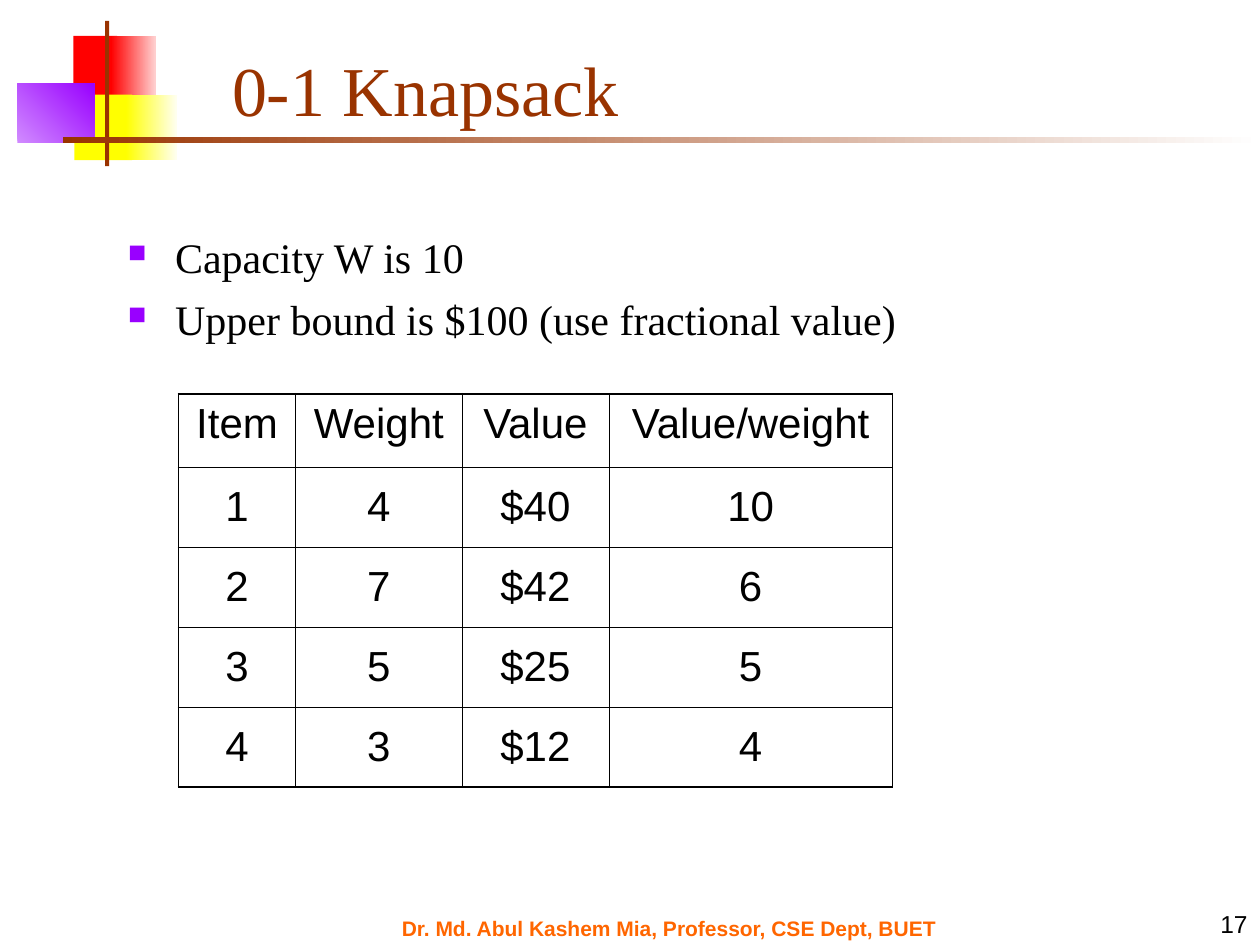
import pptx
import pptx.dml.color
import pptx.enum.shapes
import pptx.enum.text
import pptx.oxml
import pptx.oxml.ns
import pptx.util

Pt = pptx.util.Pt
RGBColor = pptx.dml.color.RGBColor
ALIGN = pptx.enum.text.PP_ALIGN
ANCHOR = pptx.enum.text.MSO_ANCHOR

BLACK = RGBColor(0, 0, 0)
RED = RGBColor(0xFF, 0, 0)
PINK = RGBColor(0xFF, 0xD1, 0xD1)
YELLOW = RGBColor(0xFF, 0xFF, 0)
CREAM = RGBColor(0xFF, 0xFF, 0xF0)
LILAC = RGBColor(0xD1, 0x8B, 0xFF)
PURPLE = RGBColor(0x99, 0, 0xFF)
BROWN = RGBColor(0x99, 0x33, 0)
WHITE = RGBColor(0xFF, 0xFF, 0xFF)
ORANGE = RGBColor(0xFF, 0x66, 0)

SERIF = "Times New Roman"
SANS = "Arial"

ORNAMENT = [
    ((42, 20.5, 25, 37.5), (RED,), 0),
    ((63.5, 20.5, 25.5, 37.5), (RED, PINK), 0),
    ((42.5, 54, 33, 37.5), (YELLOW,), 0),
    ((72, 54, 29, 37.5), (YELLOW, CREAM), 0),
    ((10, 48, 44, 33.5), (LILAC, PURPLE), 45),
    ((60, 12, 2.4, 83), (BROWN,), 0),
    ((36, 78, 684, 3.6), (BROWN, WHITE), 0),
]
BULLETS = ["Capacity W is 10", "Upper bound is $100 (use fractional value)"]
ITEMS = [
    ("Item", "Weight", "Value", "Value/weight"),
    ("1", "4", "$40", "10"),
    ("2", "7", "$42", "6"),
    ("3", "5", "$25", "5"),
    ("4", "3", "$12", "4"),
]
COLUMN_WIDTHS = [67, 95, 84, 162]
HEADER_HEIGHT = 42
ITEM_HEIGHT = 45.7


def add_block(slide, bounds, colors, angle):
    block = slide.shapes.add_shape(
        pptx.enum.shapes.MSO_SHAPE.RECTANGLE, *map(Pt, bounds))
    block.shadow.inherit = False
    block.line.fill.background()
    if len(colors) == 1:
        block.fill.solid()
        block.fill.fore_color.rgb = colors[0]
        return
    block.fill.gradient()
    block.fill.gradient_angle = angle
    for stop, color in zip(block.fill.gradient_stops, colors):
        stop.color.rgb = color


def style_paragraph(paragraph, font, size, color, align=ALIGN.LEFT, bold=False):
    paragraph.alignment = align
    for run in paragraph.runs:
        run.font.name = font
        run.font.size = Pt(size)
        run.font.color.rgb = color
        run.font.bold = bold


def add_text(slide, bounds, text, font, size, color, align=ALIGN.LEFT,
             anchor=ANCHOR.TOP, bold=False):
    frame = slide.shapes.add_textbox(*map(Pt, bounds)).text_frame
    frame.word_wrap = True
    frame.vertical_anchor = anchor
    frame.text = text
    for paragraph in frame.paragraphs:
        style_paragraph(paragraph, font, size, color, align, bold)
    return frame


def add_bullet(paragraph):
    properties = paragraph._p.get_or_add_pPr()
    properties.set("marL", str(Pt(27)))
    properties.set("indent", str(-Pt(27)))
    namespace = pptx.oxml.ns.nsdecls("a")
    for element in (
        f'<a:buClr {namespace}><a:srgbClr val="{PURPLE}"/></a:buClr>',
        f'<a:buSzPct {namespace} val="60000"/>',
        f'<a:buChar {namespace} char="■"/>',
    ):
        properties.append(pptx.oxml.parse_xml(element))


def add_bullets(slide, bounds, lines):
    frame = add_text(slide, bounds, "\n".join(lines), SERIF, 24, BLACK)
    frame.margin_top = Pt(6)
    for index, paragraph in enumerate(frame.paragraphs):
        if index:
            paragraph.space_before = Pt(7)
        add_bullet(paragraph)


def set_border(cell, side, width):
    namespace = pptx.oxml.ns.nsdecls("a")
    cell._tc.get_or_add_tcPr().append(pptx.oxml.parse_xml(
        f'<a:{side} {namespace} w="{Pt(width)}"><a:solidFill>'
        f'<a:srgbClr val="{BLACK}"/></a:solidFill></a:{side}>'))


def add_item_table(slide, left, top):
    last_row, last_column = len(ITEMS) - 1, len(COLUMN_WIDTHS) - 1
    heights = [HEADER_HEIGHT] + [ITEM_HEIGHT] * last_row
    table = slide.shapes.add_table(
        len(ITEMS), len(COLUMN_WIDTHS), Pt(left), Pt(top),
        Pt(sum(COLUMN_WIDTHS)), Pt(sum(heights))).table
    table.first_row = False
    table.horz_banding = False
    for column, width in zip(table.columns, COLUMN_WIDTHS):
        column.width = Pt(width)
    for row, height in zip(table.rows, heights):
        row.height = Pt(height)
    for r, values in enumerate(ITEMS):
        for c, value in enumerate(values):
            cell = table.cell(r, c)
            cell.text_frame.text = value
            cell.vertical_anchor = ANCHOR.MIDDLE if r else ANCHOR.TOP
            style_paragraph(cell.text_frame.paragraphs[0], SANS, 24, BLACK,
                            ALIGN.CENTER)
            outer_edges = {"lnL": c == 0, "lnR": c == last_column,
                           "lnT": r == 0, "lnB": r == last_row}
            for side, outer in outer_edges.items():
                set_border(cell, side, 1.08 if outer else 0.45)
            cell.fill.background()


def main():
    deck = pptx.Presentation()
    deck.slide_width, deck.slide_height = Pt(720), Pt(540)
    slide = deck.slides.add_slide(deck.slide_layouts[6])
    for bounds, colors, angle in ORNAMENT:
        add_block(slide, bounds, colors, angle)
    add_text(slide, (222.5, 524, 336, 13),
             "Dr. Md. Abul Kashem Mia, Professor, CSE Dept, BUET",
             SANS, 12, ORANGE, anchor=ANCHOR.MIDDLE, bold=True)
    add_text(slide, (60, 24, 366, 54), "0-1 Knapsack", SERIF, 40, BROWN,
             ALIGN.CENTER, ANCHOR.BOTTOM)
    add_bullets(slide, (66, 126, 546, 84), BULLETS)
    add_item_table(slide, 102, 225)
    add_text(slide, (570, 504, 150, 36), "17", SANS, 14, BLACK,
             ALIGN.RIGHT, ANCHOR.BOTTOM)
    deck.save("out.pptx")


if __name__ == "__main__":
    main()
